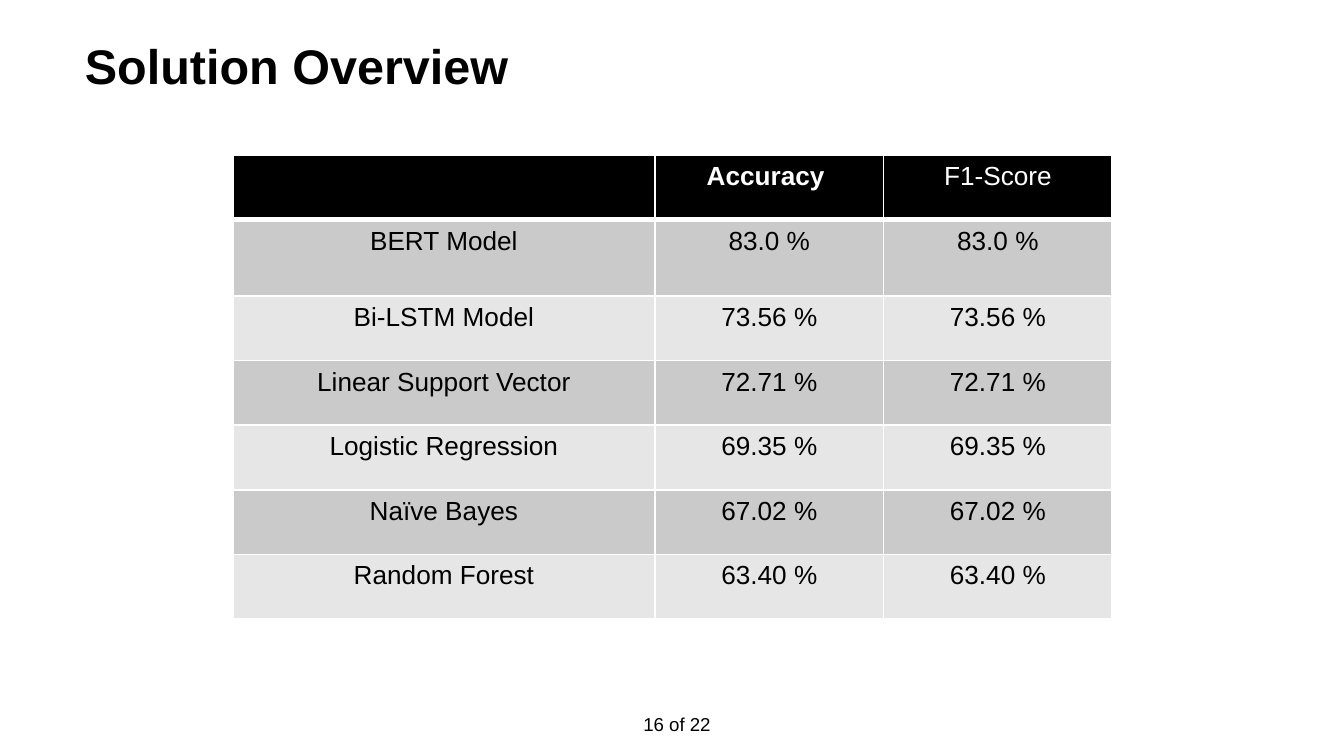
from lxml import etree
from pptx import Presentation
from pptx.dml.color import RGBColor
from pptx.enum.text import MSO_ANCHOR, PP_ALIGN
from pptx.oxml.ns import qn
from pptx.util import Cm, Pt

LEFT, CENTER = PP_ALIGN.LEFT, PP_ALIGN.CENTER
TOP = MSO_ANCHOR.TOP
BLACK, WHITE = "000000", "FFFFFF"
BANDS = ("CACACA", "E6E6E6")

TITLE = "Solution Overview"
PAGE = "16 of 22"
HEADER = ("", "Accuracy ", "F1-Score")
SCORES = [
    ("BERT Model", "83.0 %", "83.0 %"),
    ("Bi-LSTM Model", "73.56 %", "73.56 %"),
    ("Linear Support Vector", "72.71 %", "72.71 %"),
    ("Logistic Regression", "69.35 %", "69.35 %"),
    ("Naïve Bayes", "67.02 %", "67.02 %"),
    ("Random Forest", "63.40 %", "63.40 %"),
]
COLUMN_WIDTHS = (7.98, 4.32, 4.32)
ROW_HEIGHTS = (1.22, 1.44) + (1.22,) * 5


def rgb(color):
    return RGBColor.from_string(color)


def write(frame, text, size=14, color=BLACK, bold=False, align=LEFT):
    paragraph = frame.paragraphs[0]
    paragraph.alignment = align
    if not text:
        return
    run = paragraph.add_run()
    run.text = text
    run.font.name = "Arial"
    run.font.size = Pt(size)
    run.font.bold = bold
    run.font.color.rgb = rgb(color)


def set_borders(cell, top=1, bottom=1):
    """Draw white cell borders, with widths in points."""
    properties = cell._tc.get_or_add_tcPr()
    widths = {"a:lnL": 1, "a:lnR": 1, "a:lnT": top, "a:lnB": bottom}
    for position, (tag, width) in enumerate(widths.items()):
        line = etree.Element(qn(tag), w=str(Pt(width)))
        fill = etree.SubElement(line, qn("a:solidFill"))
        etree.SubElement(fill, qn("a:srgbClr"), val=WHITE)
        properties.insert(position, line)


def add_score_table(slide):
    rows = [HEADER] + SCORES
    table = slide.shapes.add_table(
        len(rows), len(HEADER), Cm(4.4), Cm(2.93),
        Cm(sum(COLUMN_WIDTHS)), Cm(sum(ROW_HEIGHTS))).table
    for column, width in zip(table.columns, COLUMN_WIDTHS):
        column.width = Cm(width)
    for r, (values, height) in enumerate(zip(rows, ROW_HEIGHTS)):
        is_header = r == 0
        table.rows[r].height = Cm(height)
        for c, value in enumerate(values):
            cell = table.cell(r, c)
            cell.fill.solid()
            cell.fill.fore_color.rgb = rgb(BLACK if is_header else BANDS[(r - 1) % 2])
            set_borders(cell, top=3 if r == 1 else 1, bottom=3 if is_header else 1)
            write(cell.text_frame, value, color=WHITE if is_header else BLACK,
                  bold=is_header and c == 1, align=CENTER)


def main():
    deck = Presentation()
    deck.slide_width, deck.slide_height = Cm(25.4), Cm(14.28)
    slide = deck.slides.add_slide(deck.slide_layouts[5])

    title = slide.shapes.title
    title.left, title.top, title.width, title.height = Cm(1.35), Cm(0.56), Cm(21.59), Cm(1.17)
    title.text_frame.vertical_anchor = TOP
    write(title.text_frame, TITLE, size=26, bold=True)

    add_score_table(slide)

    page = slide.shapes.add_textbox(Cm(11.91), Cm(13.34), Cm(1.78), Cm(0.69))
    page.text_frame.word_wrap = True
    write(page.text_frame, PAGE, size=10)

    deck.save("out.pptx")


if __name__ == "__main__":
    main()
